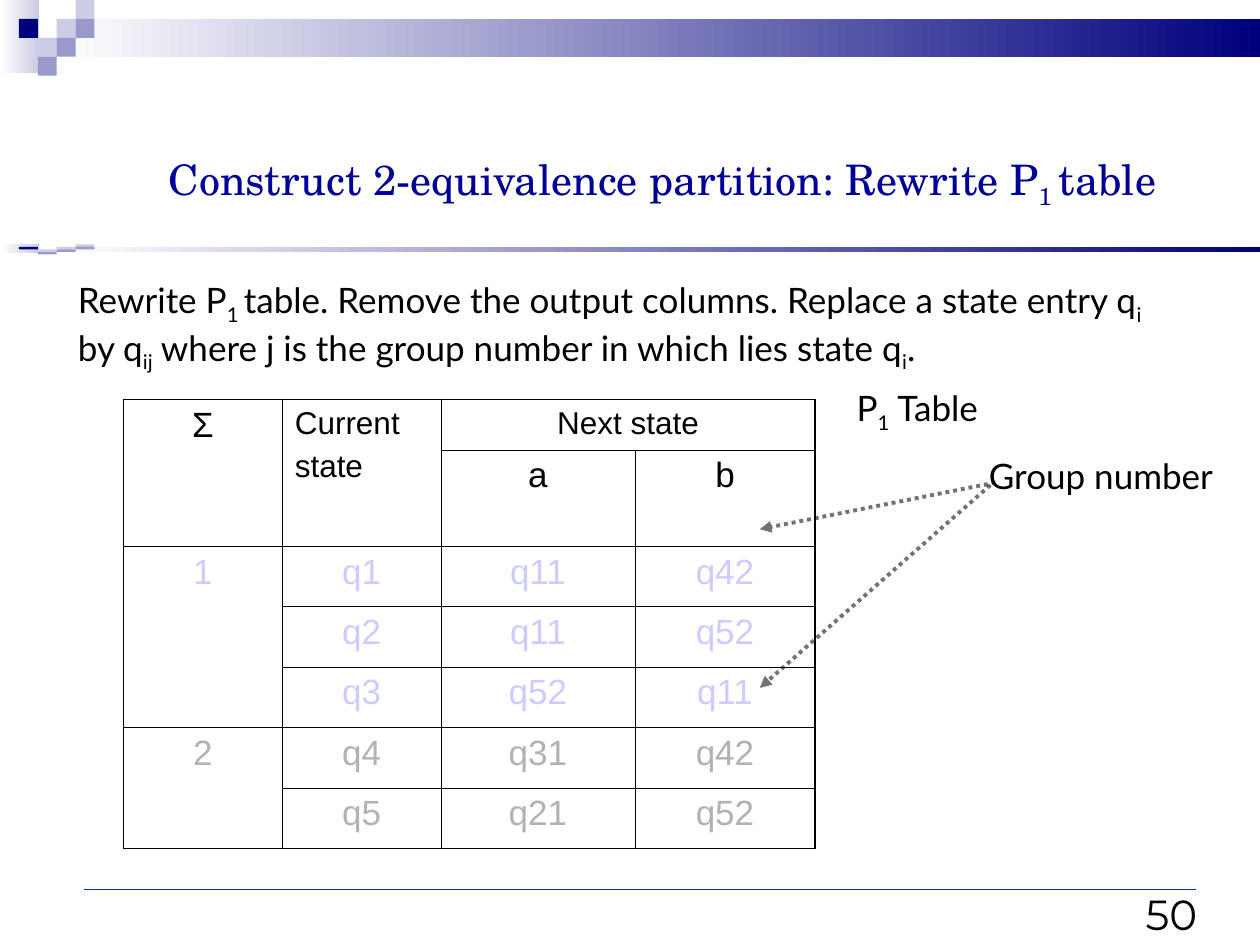
"""Build the slide that rewrites the P1 table for the 2-equivalence partition."""
import dataclasses

import lxml.etree
import pptx
import pptx.dml.color
import pptx.enum.dml
import pptx.enum.shapes
import pptx.enum.text
import pptx.oxml.ns
import pptx.util

Inches = pptx.util.Inches
Pt = pptx.util.Pt
Align = pptx.enum.text.PP_ALIGN
Anchor = pptx.enum.text.MSO_ANCHOR
qn = pptx.oxml.ns.qn


@dataclasses.dataclass(frozen=True)
class Theme:
    """Colours, fonts and sizes of the slide."""
    black: str = "000000"
    white: str = "FFFFFF"
    navy: str = "00007D"
    title: str = "000099"
    rule: str = "0033CC"
    pale: str = "CCCCE6"
    medium: str = "9999CC"
    group_one: str = "CCCCFF"
    group_two: str = "B2B2B2"
    title_font: str = "TeX Gyre Schola"
    body_font: str = "Lato"
    table_font: str = "Arial"
    number_font: str = "Montserrat"
    large: int = 24
    normal: int = 20
    small: int = 18
    outer_border: float = 1.08
    inner_border: float = 0.45


THEME = Theme()
SQUARES = [(3, 1, THEME.pale), (4, 0, THEME.pale), (4, 1, THEME.medium), (2, 2, THEME.pale),
           (1, 1, THEME.navy), (3, 2, THEME.medium), (2, 3, THEME.medium)]
COLUMN_WIDTHS = [1.26, 1.26, 1.54, 1.43]
ROW_HEIGHTS = [0.4, 0.76] + [0.48] * 5
TABLE_ROWS = [
    ["Σ", "Current\nstate", "Next state", ""],
    ["", "", "a", "b"],
    ["1", "q1", "q11", "q42"],
    ["", "q2", "q11", "q52"],
    ["", "q3", "q52", "q11"],
    ["2", "q4", "q31", "q42"],
    ["", "q5", "q21", "q52"],
]
MERGES = [(0, 0, 1, 0), (0, 1, 1, 1), (0, 2, 0, 3), (2, 0, 4, 0), (5, 0, 6, 0)]


def rgb(value):
    """Return the colour object of a hex value."""
    return pptx.dml.color.RGBColor.from_string(value)


def write_text(frame, text, *, font=THEME.body_font, size=THEME.normal, color=THEME.black,
               align=Align.LEFT, anchor=Anchor.TOP, gap=0):
    """Write lines of text, where every second part between bars is a subscript."""
    frame.word_wrap = True
    frame.vertical_anchor = anchor
    for index, line in enumerate(text.split("\n")):
        paragraph = frame.add_paragraph() if index else frame.paragraphs[0]
        paragraph.alignment = align
        paragraph.space_before = Pt(gap if index else 0)
        for position, part in enumerate(line.split("|")):
            run = paragraph.add_run()
            run.text = part
            run.font.name = font
            run.font.size = Pt(size)
            run.font.color.rgb = rgb(color)
            if position % 2:
                run.font._element.set("baseline", "-25000")


def add_text(shapes, text, left, top, width, height, **text_format):
    """Add a text box."""
    box = shapes.add_textbox(Inches(left), Inches(top), Inches(width), Inches(height))
    write_text(box.text_frame, text, **text_format)


def add_rectangle(shapes, left, top, width, height, color, fade=False):
    """Add a plain rectangle, optionally fading in from white at the left."""
    shape = shapes.add_shape(pptx.enum.shapes.MSO_SHAPE.RECTANGLE, Inches(left), Inches(top),
                             Inches(width), Inches(height))
    shape.shadow.inherit = False
    shape.line.fill.background()
    if fade:
        shape.fill.gradient()
        shape.fill.gradient_angle = 0
        for stop, value, position in zip(shape.fill.gradient_stops, (THEME.white, color), (0, 1)):
            stop.color.rgb = rgb(value)
            stop.position = position
    else:
        shape.fill.solid()
        shape.fill.fore_color.rgb = rgb(color)


def add_band(shapes, top, unit, side_height):
    """Add a fading bar with its mosaic, in rows one unit high."""
    add_rectangle(shapes, 0, top, 0.31, side_height, THEME.pale, fade=True)
    add_rectangle(shapes, 0.45, top + unit, 9.55, 2 * unit, THEME.navy, fade=True)
    for column, row, color in SQUARES:
        add_rectangle(shapes, 0.15 * column, top + row * unit, 0.15, unit, color)


def add_line(shapes, start, end, color, width):
    """Add a straight line without shadow."""
    line = shapes.add_connector(pptx.enum.shapes.MSO_CONNECTOR.STRAIGHT,
                                *map(Inches, start + end))
    line.line.color.rgb = rgb(color)
    line.line.width = Pt(width)
    lxml.etree.SubElement(line._element.spPr, qn("a:effectLst"))
    return line


def add_dotted_arrow(shapes, start, end):
    """Add a translucent dotted arrow."""
    arrow = add_line(shapes, start, end, THEME.black, 2.25)
    arrow.line.dash_style = pptx.enum.dml.MSO_LINE.ROUND_DOT
    outline = arrow.line._get_or_add_ln()
    color = outline.find(".//" + qn("a:srgbClr"))
    lxml.etree.SubElement(color, qn("a:alpha"), val="54000")
    lxml.etree.SubElement(outline, qn("a:tailEnd"), type="triangle")


def set_borders(cell, outer_sides):
    """Draw the four borders of a cell, thicker on the outer sides."""
    properties = cell._tc.get_or_add_tcPr()
    for side in "LRTB":
        width = THEME.outer_border if side in outer_sides else THEME.inner_border
        border = lxml.etree.SubElement(properties, qn("a:ln" + side), w=str(Pt(width)))
        fill = lxml.etree.SubElement(border, qn("a:solidFill"))
        lxml.etree.SubElement(fill, qn("a:srgbClr"), val=THEME.black)


def find_region(row, column):
    """Return the first and last row and column of the merged area around a cell."""
    for top, left, bottom, right in MERGES:
        if top <= row <= bottom and left <= column <= right:
            return top, left, bottom, right
    return row, column, row, column


def cell_format(row, column):
    """Return the text format of a table cell."""
    header = row == 0 and column > 0
    color = THEME.black if row < 2 else THEME.group_one if row < 5 else THEME.group_two
    return {"font": THEME.table_font, "size": THEME.small if header else THEME.normal,
            "color": color, "gap": 4.5,
            "align": Align.LEFT if header and column == 1 else Align.CENTER}


def add_state_table(shapes):
    """Add the transition table with its merged cells."""
    rows, columns = len(ROW_HEIGHTS), len(COLUMN_WIDTHS)
    table = shapes.add_table(rows, columns, Inches(0.98), Inches(3.17),
                             Inches(sum(COLUMN_WIDTHS)), Inches(sum(ROW_HEIGHTS))).table
    table.first_row = table.horz_banding = False
    for column, width in zip(table.columns, COLUMN_WIDTHS):
        column.width = Inches(width)
    for row, height in zip(table.rows, ROW_HEIGHTS):
        row.height = Inches(height)
    for top, left, bottom, right in MERGES:
        table.cell(top, left).merge(table.cell(bottom, right))
    for row, texts in enumerate(TABLE_ROWS):
        for column, text in enumerate(texts):
            cell = table.cell(row, column)
            top, left, bottom, right = find_region(row, column)
            edges = {"L": left == 0, "T": top == 0, "R": right == columns - 1, "B": bottom == rows - 1}
            set_borders(cell, [side for side, is_outer in edges.items() if is_outer])
            cell.fill.background()
            if text:
                write_text(cell.text_frame, text, **cell_format(row, column))


def set_title(title, text):
    """Place and write the title."""
    title.left, title.top, title.width, title.height = map(Inches, (1.24, 1.09, 8.52, 0.71))
    title.text_frame.auto_size = pptx.enum.text.MSO_AUTO_SIZE.NONE
    write_text(title.text_frame, text, font=THEME.title_font, size=THEME.large,
               color=THEME.title, anchor=Anchor.MIDDLE)


def main():
    """Build and save the presentation."""
    presentation = pptx.Presentation()
    presentation.slide_width, presentation.slide_height = Inches(10), Inches(7.5)
    slide = presentation.slides.add_slide(presentation.slide_layouts[5])
    shapes = slide.shapes
    add_band(shapes, 0, 0.15, 0.58)
    add_band(shapes, 1.94, 0.02, 0.07)
    add_line(shapes, (0.67, 7.06), (9.49, 7.06), THEME.rule, 0.75)
    add_text(shapes, "50", 8.86, 6.93, 0.74, 0.57, font=THEME.number_font, size=THEME.large,
             align=Align.RIGHT, anchor=Anchor.BOTTOM)
    set_title(shapes.title, "Construct 2-equivalence partition: Rewrite P|1 |table")
    add_text(shapes, "Rewrite P|1 |table. Remove the output columns. Replace a state entry q|i| by q|ij|"
             " where j is the group number in which lies state q|i|.", 0.52, 2.16, 8.83, 0.86)
    add_state_table(shapes)
    callout = shapes.add_group_shape().shapes
    add_text(callout, "Group number", 7.75, 3.56, 2.15, 0.44)
    add_dotted_arrow(callout, (7.9, 3.83), (6.03, 4.2))
    add_dotted_arrow(callout, (7.86, 3.85), (6.03, 5.46))
    add_text(shapes, "P|1| Table", 6.7, 3.02, 1.81, 0.48)
    presentation.save("out.pptx")


if __name__ == "__main__":
    main()
